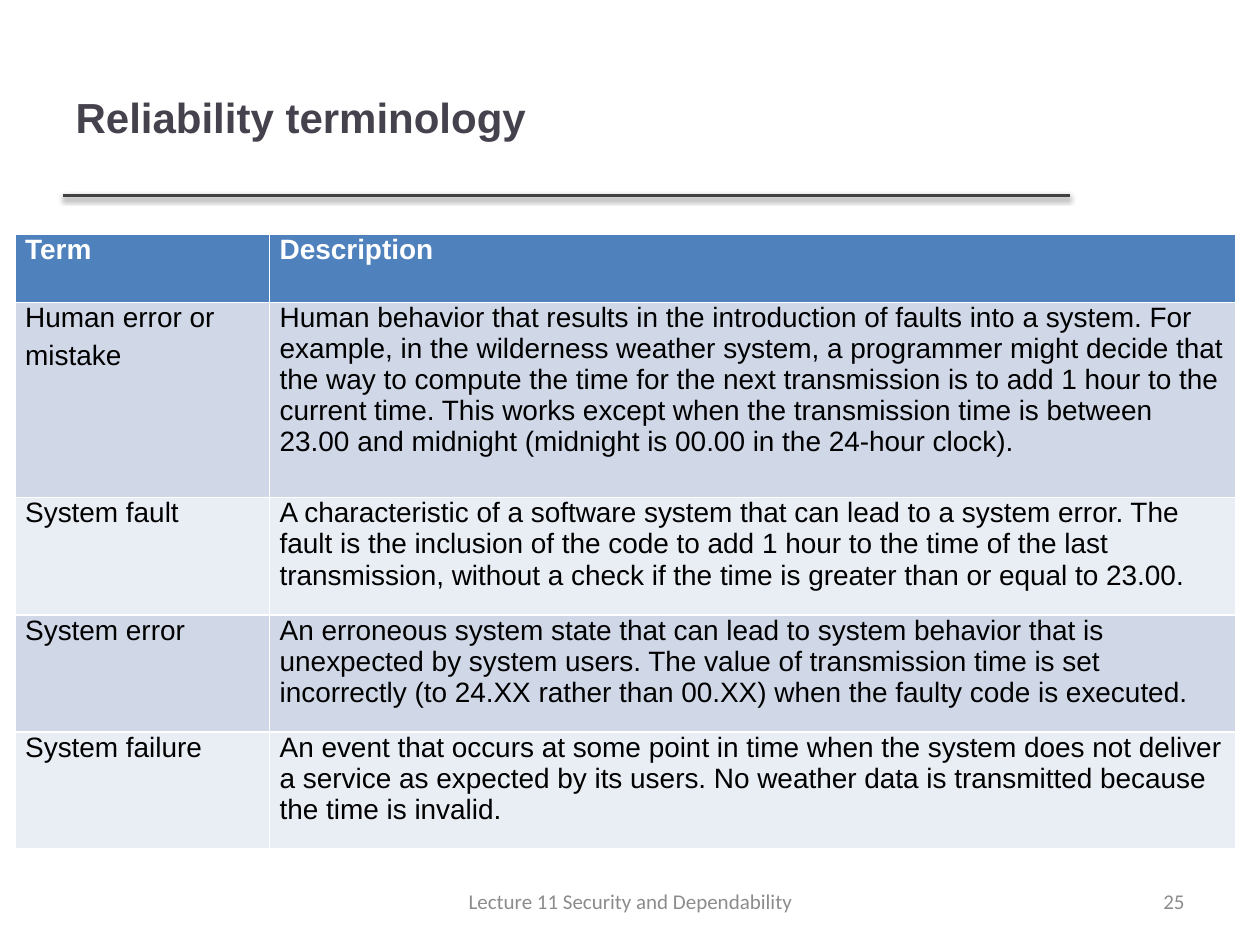
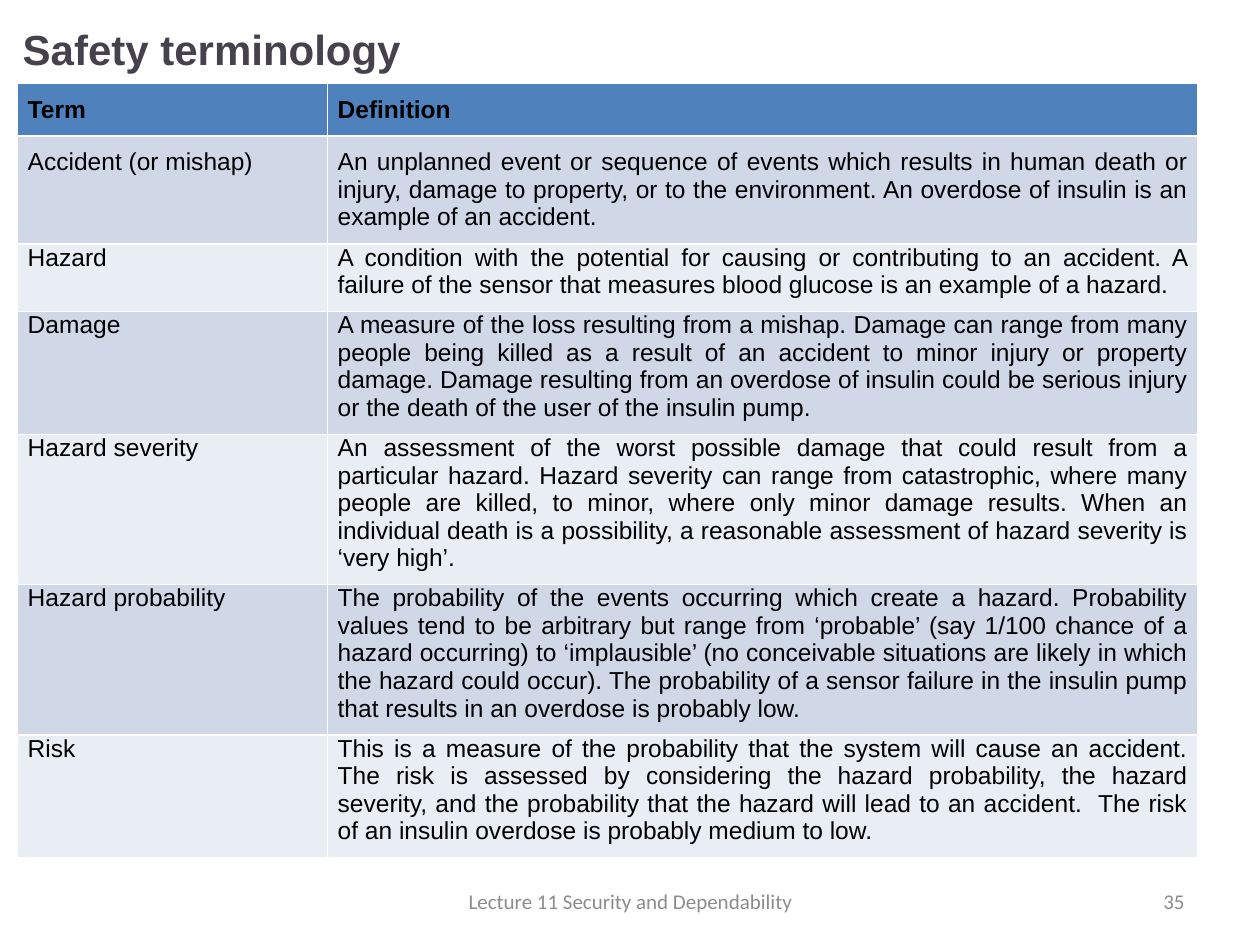
from pptx import Presentation
from pptx.dml.color import RGBColor
from pptx.enum.shapes import MSO_CONNECTOR as Line
from pptx.enum.text import MSO_ANCHOR as Anchor, PP_ALIGN as Align
from pptx.oxml import parse_xml
from pptx.oxml.ns import nsdecls
from pptx.util import Inches, Pt

# Shared look
INK, RULE, GREY = "46424D", "404040", "8C8C8C"
HEAD, BANDS = "4F81BD", ("D0D8E8", "E9EDF4")
BLACK, WHITE = "000000", "FFFFFF"
FOOTER = "Lecture 11 Security and Dependability"
SHADOW = (f'<a:effectLst {nsdecls("a")}><a:outerShdw blurRad="39370" dist="20320" '
          'dir="5400000" rotWithShape="0"><a:srgbClr val="000000">'
          '<a:alpha val="38000"/></a:srgbClr></a:outerShdw></a:effectLst>')


def rgb(code):
    return RGBColor.from_string(code)


def style(para, face, size, color, align=Align.LEFT, bold=False):
    para.alignment = align
    font = para.font
    font.name, font.size, font.bold = face, Pt(size), bold
    font.color.rgb = rgb(color)


# Table contents, header row first
faults = [
    ("Term", "Description"),
    ("Human error or\nmistake",
     "Human behavior that results in the introduction of faults into a system. For "
     "example, in the wilderness weather system, a programmer might decide that the way "
     "to compute the time for the next transmission is to add 1 hour to the current time. "
     "This works except when the transmission time is between 23.00 and midnight "
     "(midnight is 00.00 in the 24-hour clock)."),
    ("System fault",
     "A characteristic of a software system that can lead to a system error. The fault is "
     "the inclusion of the code to add 1 hour to the time of the last transmission, "
     "without a check if the time is greater than or equal to 23.00."),
    ("System error",
     "An erroneous system state that can lead to system behavior that is unexpected by "
     "system users. The value of transmission time is set incorrectly (to 24.XX rather "
     "than 00.XX) when the faulty code is executed."),
    ("System failure",
     "An event that occurs at some point in time when the system does not deliver a "
     "service as expected by its users. No weather data is transmitted because the time "
     "is invalid."),
]
hazards = [
    ("Term", "Definition"),
    ("Accident (or mishap)",
     "An unplanned event or sequence of events which results in human death or injury, "
     "damage to property, or to the environment. An overdose of insulin is an example of "
     "an accident."),
    ("Hazard",
     "A condition with the potential for causing or contributing to an accident. A "
     "failure of the sensor that measures blood glucose is an example of a hazard."),
    ("Damage",
     "A measure of the loss resulting from a mishap. Damage can range from many people "
     "being killed as a result of an accident to minor injury or property damage. Damage "
     "resulting from an overdose of insulin could be serious injury or the death of the "
     "user of the insulin pump."),
    ("Hazard severity",
     "An assessment of the worst possible damage that could result from a particular "
     "hazard. Hazard severity can range from catastrophic, where many people are killed, "
     "to minor, where only minor damage results. When an individual death is a "
     "possibility, a reasonable assessment of hazard severity is ‘very high’."),
    ("Hazard probability",
     "The probability of the events occurring which create a hazard. Probability values "
     "tend to be arbitrary but range from ‘probable’ (say 1/100 chance of a hazard "
     "occurring) to ‘implausible’ (no conceivable situations are likely in which the "
     "hazard could occur). The probability of a sensor failure in the insulin pump that "
     "results in an overdose is probably low."),
    ("Risk",
     "This is a measure of the probability that the system will cause an accident. The "
     "risk is assessed by considering the hazard probability, the hazard severity, and "
     "the probability that the hazard will lead to an accident.  The risk of an insulin "
     "overdose is probably medium to low."),
]

# What differs between the slides; pads are (top, bottom) for each row
pages = [
    dict(title="Reliability terminology", box=(0.5, 0.3, 7.98, 1.25),
         rows=faults, at=(0.12, 1.86), wide=(2.02, 7.67),
         high=(0.54, 1.55, 0.93, 0.93, 0.93), size=16, head=WHITE,
         align=Align.LEFT, after=4, side=0.08, pads=[(0, 0)] * 5, number="25"),
    dict(title="Safety terminology", box=(0.08, 0.12, 7.98, 0.54),
         rows=hazards, at=(0.14, 0.66), wide=(2.46, 6.91),
         high=(0.42, 0.84, 0.52, 0.94, 0.94, 1.15, 0.94), size=14, head=BLACK,
         align=Align.JUSTIFY, after=0, side=0.08,
         pads=[(0.1, 0), (0.1, 0.1)] + [(0, 0.1)] * 5, number="35"),
]

deck = Presentation()
deck.slide_width, deck.slide_height = Inches(10), Inches(7.5)
layout = deck.slide_layouts[5]

for page in pages:
    slide = deck.slides.add_slide(layout)
    shapes = slide.shapes

    # Rule under the title, moved once to the layout that both slides share
    if page is pages[0]:
        rule = shapes.add_connector(Line.STRAIGHT, Inches(0.5), Inches(1.55),
                                    Inches(8.49), Inches(1.55))
        rule.line.color.rgb = rgb(RULE)
        rule.line.width = Pt(2)
        rule._element.spPr.append(parse_xml(SHADOW))
        layout.shapes._spTree.append(rule._element)

    # Title
    title = shapes.title
    title.left, title.top, title.width, title.height = map(Inches, page["box"])
    title.text_frame.text = page["title"]
    title.text_frame.vertical_anchor = Anchor.MIDDLE
    style(title.text_frame.paragraphs[0], "Arial", 24, INK, bold=True)

    # Table of terms
    wide, high = page["wide"], page["high"]
    left, top = page["at"]
    table = shapes.add_table(len(high), len(wide), Inches(left), Inches(top),
                             Inches(sum(wide)), Inches(sum(high))).table
    for col, width in zip(table.columns, wide):
        col.width = Inches(width)
    for r, texts in enumerate(page["rows"]):
        table.rows[r].height = Inches(high[r])
        for c, text in enumerate(texts):
            cell = table.cell(r, c)
            cell.fill.solid()
            cell.fill.fore_color.rgb = rgb(BANDS[(r - 1) % 2] if r else HEAD)
            cell.margin_left = cell.margin_right = Inches(page["side"])
            cell.margin_top, cell.margin_bottom = map(Inches, page["pads"][r])
            cell.text = text
            for para in cell.text_frame.paragraphs:
                style(para, "Arial", page["size"], BLACK if r else page["head"],
                      page["align"], bold=r == 0)
                para.space_after = Pt(page["after"])

    # Footer and slide number
    for text, x, width, align in ((page["number"], 7.17, 2.33, Align.RIGHT),
                                  (FOOTER, 3.42, 3.17, Align.CENTER)):
        frame = shapes.add_textbox(Inches(x), Inches(6.95),
                                   Inches(width), Inches(0.4)).text_frame
        frame.word_wrap = True
        frame.vertical_anchor = Anchor.MIDDLE
        frame.text = text
        style(frame.paragraphs[0], "Calibri", 12, GREY, align)

deck.save("out.pptx")
